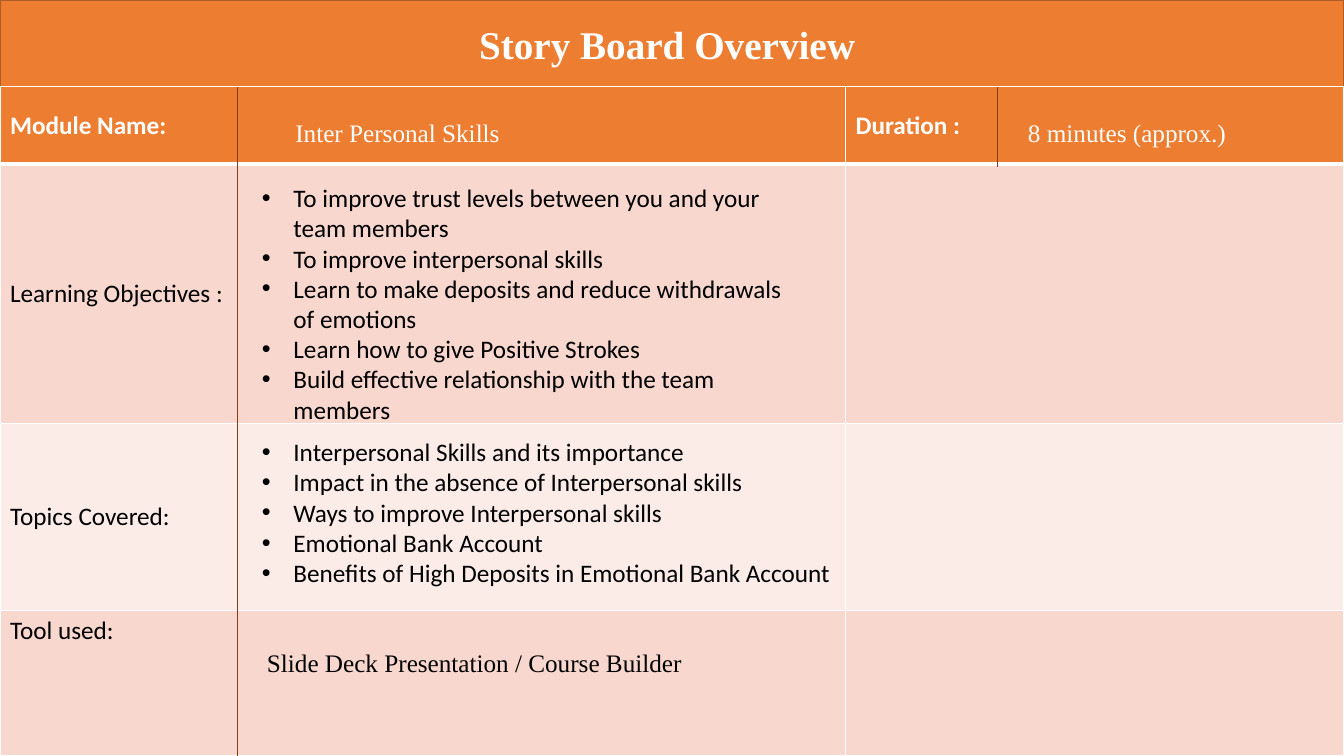
"""Build the story board overview slide."""
from dataclasses import dataclass

from lxml.etree import SubElement
from pptx import Presentation
from pptx.dml.color import RGBColor
from pptx.enum.shapes import MSO_CONNECTOR, MSO_SHAPE
from pptx.enum.text import MSO_ANCHOR, MSO_AUTO_SIZE, PP_ALIGN
from pptx.oxml.ns import qn
from pptx.util import Pt

TITLE = "Story Board Overview "
ROWS = [
    ("Module Name: ", "Duration : "),
    ("Learning Objectives :", ""),
    ("Topics Covered: ", ""),
    ("Tool used: ", ""),
]
GOALS = [
    "To improve trust levels between you and your team members",
    "To improve interpersonal skills",
    "Learn to make deposits and reduce withdrawals of emotions",
    "Learn how to give Positive Strokes",
    "Build effective relationship with the team members",
]
TOPICS = [
    "Interpersonal Skills and its importance ",
    "Impact in the absence of Interpersonal skills ",
    "Ways to improve Interpersonal skills ",
    "Emotional Bank Account",
    "Benefits of High Deposits in Emotional Bank Account ",
]


@dataclass(frozen=True)
class Theme:
    """Hold the colours, fonts and type sizes."""
    head: str = "ED7D31"
    edge: str = "AF5C24"
    odd: str = "F8D7CE"
    even: str = "FCECE8"
    rule: str = "843C0B"
    white: str = "FFFFFF"
    black: str = "000000"
    sans: str = "Calibri"
    serif: str = "Times New Roman"
    big: int = 28
    body: int = 18


T = Theme()
WIDE, HIGH, TOP = 960, 540, 62
COLS = [604, 356]
TALL = [55.2, 185.2, 133.9, 103.7]
HANG = 22.5
NOTES = [
    ("Inter Personal Skills ", 203.9, 79.9, 166.3, T.white),
    ("8 minutes (approx.)", 727.2, 79.9, 157.7, T.white),
    ("Slide Deck Presentation / Course Builder ", 183.6, 458.6, 311, T.black),
]
LISTS = [
    (GOALS, 180, 126.7, 402.5, 181.4, True),
    (TOPICS, 180, 308.2, 445, 116.6, False),
]
RULES = [(169.5, HIGH), (712.3, 119)]


def style(para, face, size, hue, bold=False):
    """Set the font of a paragraph."""
    font = para.font
    font.name, font.size, font.bold = face, Pt(size), bold
    font.color.rgb = RGBColor.from_string(hue)


def paint(item, hue):
    """Give an item a solid fill."""
    item.fill.solid()
    item.fill.fore_color.rgb = RGBColor.from_string(hue)


def border(cell, sides):
    """Draw white cell borders of the given widths."""
    props = cell._tc.get_or_add_tcPr()
    for side, width in sides.items():
        line = SubElement(props, qn(f"a:ln{side}"), w=str(Pt(width)))
        fill = SubElement(line, qn("a:solidFill"))
        SubElement(fill, qn("a:srgbClr"), val=T.white)


def bullet(para):
    """Hang a paragraph behind a round bullet."""
    props = para._p.get_or_add_pPr()
    props.set("marL", str(Pt(HANG)))
    props.set("indent", str(-Pt(HANG)))
    SubElement(props, qn("a:buFont"), typeface="Arial")
    SubElement(props, qn("a:buChar"), char="•")


def write(slide, lines, box, face, hue, wrap=False, dots=False):
    """Add a text box with one paragraph per line."""
    frame = slide.shapes.add_textbox(*map(Pt, box)).text_frame
    frame.word_wrap = wrap
    frame.auto_size = MSO_AUTO_SIZE.SHAPE_TO_FIT_TEXT
    frame.vertical_anchor = MSO_ANCHOR.TOP if dots else MSO_ANCHOR.MIDDLE
    frame.text = "\n".join(lines)
    for para in frame.paragraphs:
        if dots:
            bullet(para)
        style(para, face, T.body, hue)


def banner(slide):
    """Add the title bar."""
    bar = slide.shapes.add_shape(MSO_SHAPE.RECTANGLE, 0, 0, Pt(WIDE), Pt(TOP))
    bar.shadow.inherit = False
    paint(bar, T.head)
    bar.line.color.rgb = RGBColor.from_string(T.edge)
    bar.line.width = Pt(1)
    frame = bar.text_frame
    frame.text = TITLE
    frame.vertical_anchor = MSO_ANCHOR.MIDDLE
    para = frame.paragraphs[0]
    para.alignment = PP_ALIGN.CENTER
    style(para, T.serif, T.big, T.white, True)


def grid(slide):
    """Add the table of headings."""
    table = slide.shapes.add_table(
        len(ROWS), len(COLS), 0, Pt(TOP), Pt(WIDE), Pt(sum(TALL))).table
    for col, width in zip(table.columns, COLS):
        col.width = Pt(width)
    for r, (labels, tall) in enumerate(zip(ROWS, TALL)):
        table.rows[r].height = Pt(tall)
        top = r == 0
        last = r == len(ROWS) - 1
        fill = T.head if top else T.odd if r % 2 else T.even
        for c, label in enumerate(labels):
            cell = table.cell(r, c)
            cell.text = label
            cell.vertical_anchor = MSO_ANCHOR.TOP if last else MSO_ANCHOR.MIDDLE
            border(cell, {"L": 1, "R": 1, "T": 3 if r == 1 else 1, "B": 3 if top else 1})
            paint(cell, fill)
            style(cell.text_frame.paragraphs[0], T.sans, T.body,
                  T.white if top else T.black, top)


def divide(slide, x, end):
    """Add a thin upright line below the title bar."""
    line = slide.shapes.add_connector(
        MSO_CONNECTOR.STRAIGHT, Pt(x), Pt(TOP), Pt(x), Pt(end))
    line.line.color.rgb = RGBColor.from_string(T.rule)
    line.line.width = Pt(0.5)
    SubElement(line._element.spPr, qn("a:effectLst"))


deck = Presentation()
deck.slide_width, deck.slide_height = Pt(WIDE), Pt(HIGH)
page = deck.slides.add_slide(deck.slide_layouts[6])
banner(page)
grid(page)
for x, end in RULES:
    divide(page, x, end)
for text, x, y, width, hue in NOTES:
    write(page, [text], (x, y, width, 29), T.serif, hue)
for lines, x, y, width, tall, wrap in LISTS:
    write(page, lines, (x, y, width, tall), T.sans, T.black, wrap, True)
deck.save("out.pptx")
